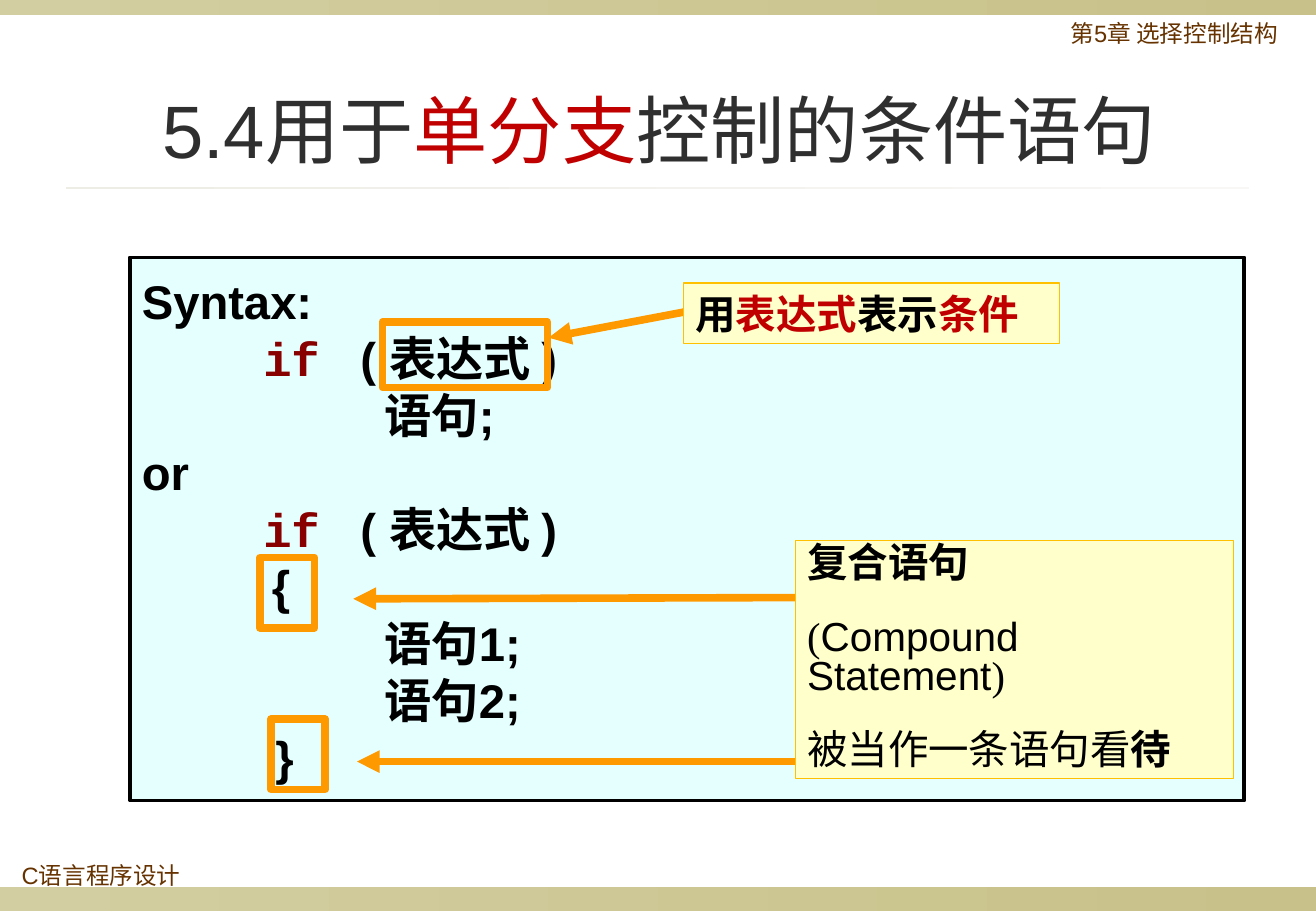
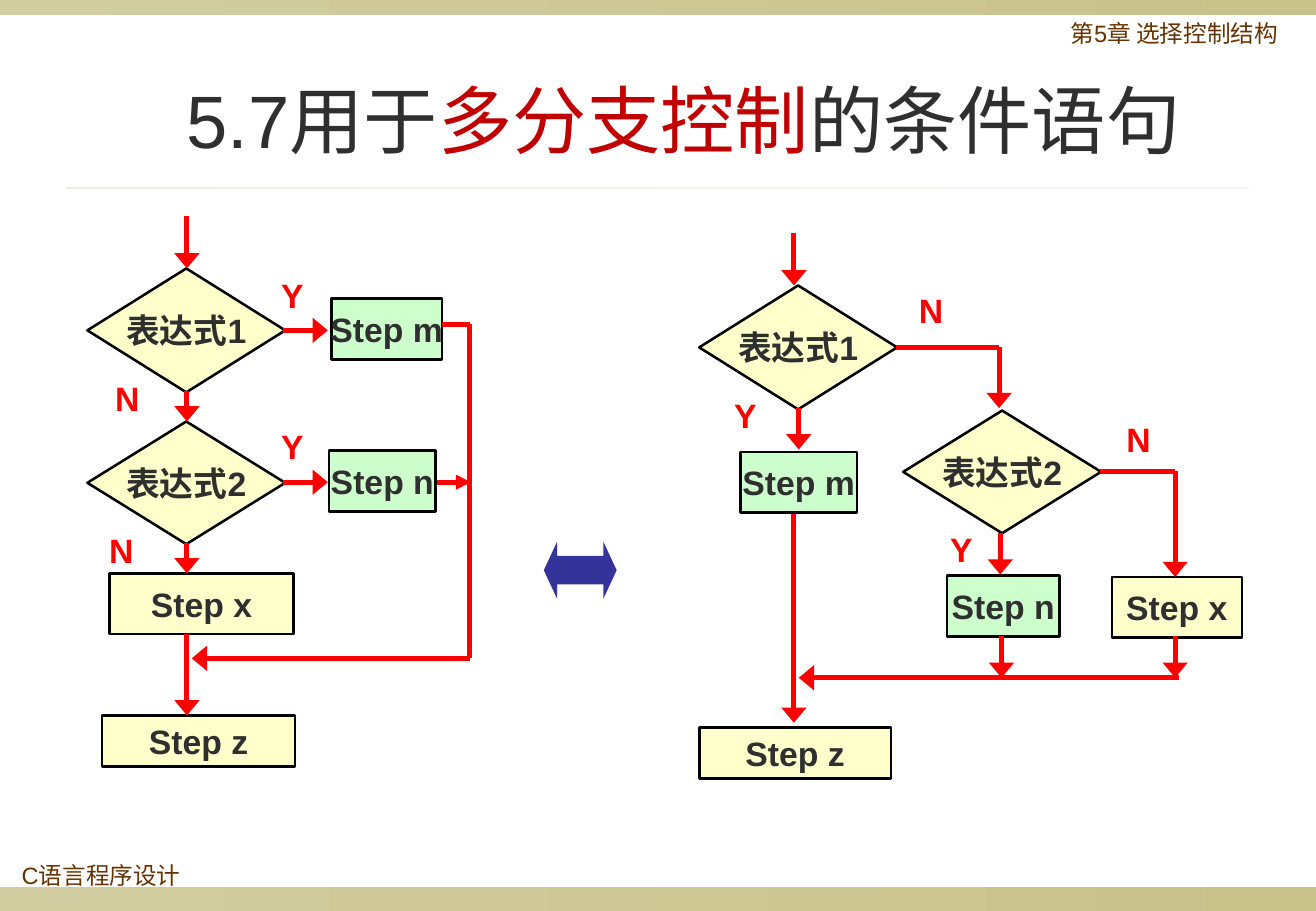
import itertools

import pptx
import pptx.dml.color
import pptx.enum.shapes
import pptx.enum.text
import pptx.oxml.ns
import pptx.util
from lxml import etree

Inches = pptx.util.Inches
Pt = pptx.util.Pt
RGBColor = pptx.dml.color.RGBColor
SHAPE = pptx.enum.shapes.MSO_SHAPE
ALIGN = pptx.enum.text.PP_ALIGN
ANCHOR = pptx.enum.text.MSO_ANCHOR
qn = pptx.oxml.ns.qn

BAND_LEFT = RGBColor(0xD3, 0xCE, 0xA1)
BAND_RIGHT = RGBColor(0xC8, 0xC1, 0x8A)
RULE_LEFT = RGBColor(0xED, 0xEC, 0xE5)
RULE_RIGHT = RGBColor(0xF8, 0xF7, 0xF5)
BROWN = RGBColor(0x66, 0x33, 0x00)
DARK = RGBColor(0x2F, 0x2F, 0x2F)
BLACK = RGBColor(0x00, 0x00, 0x00)
CRIMSON = RGBColor(0xC0, 0x00, 0x00)
KEYWORD = RGBColor(0x88, 0x00, 0x00)
RED = RGBColor(0xFF, 0x00, 0x00)
ORANGE = RGBColor(0xFF, 0x99, 0x00)
GOLD = RGBColor(0xFF, 0xC0, 0x00)
CYAN = RGBColor(0xE5, 0xFF, 0xFF)
YELLOW = RGBColor(0xFF, 0xFF, 0xCC)
GREEN = RGBColor(0xCC, 0xFF, 0xCC)
BLUE = RGBColor(0x33, 0x33, 0x99)
LATIN, CHINESE, CODE, SERIF = "Arial", "Noto Sans CJK SC", "Courier New", "Times New Roman"


def add_box(slide, at, paragraphs=(), kind=SHAPE.RECTANGLE, fill=None, line=None, line_width=1.5,
            size=20, bold=False, align=ALIGN.LEFT, anchor=ANCHOR.MIDDLE, wrap=True, spacing=None):
    """Add a shape; each paragraph is a list of runs (text, colour[, font[, bold]])."""
    shape = slide.shapes.add_shape(kind, *map(Inches, at))
    shape.shadow.inherit = False
    if fill is None:
        shape.fill.background()
    elif isinstance(fill, tuple) and not isinstance(fill, RGBColor):
        shape.fill.gradient()
        shape.fill.gradient_angle = 0
        for stop, color in zip(shape.fill.gradient_stops, fill):
            stop.color.rgb = color
    else:
        shape.fill.solid()
        shape.fill.fore_color.rgb = fill
    if line is None:
        shape.line.fill.background()
    else:
        shape.line.color.rgb = line
        shape.line.width = Pt(line_width)
    frame = shape.text_frame
    frame.word_wrap = wrap
    frame.vertical_anchor = anchor
    for index, runs in enumerate(paragraphs):
        paragraph = frame.add_paragraph() if index else frame.paragraphs[0]
        paragraph.alignment = align
        if spacing:
            paragraph.line_spacing = Pt(spacing)
        for text, color, *style in runs:
            run = paragraph.add_run()
            run.text = text
            run.font.size = Pt(size)
            run.font.color.rgb = color
            run.font.name = style[0] if style else LATIN
            run.font.bold = style[1] if len(style) > 1 else bold
            properties = run.font._element
            etree.SubElement(properties, qn("a:ea")).set("typeface", CHINESE)
    return shape


def add_arrow(slide, points, color, width, head_width="med"):
    """Join the points with straight connectors; the last one carries the arrowhead."""
    for start, end in itertools.pairwise(points):
        connector = slide.shapes.add_connector(
            pptx.enum.shapes.MSO_CONNECTOR.STRAIGHT, *map(Inches, (*start, *end)))
        connector.line.color.rgb = color
        connector.line.width = Pt(width)
        properties = connector._element.spPr
        etree.SubElement(properties, qn("a:effectLst"))
    head = etree.SubElement(properties.find(qn("a:ln")), qn("a:tailEnd"))
    head.set("type", "triangle")
    head.set("w", head_width)
    head.set("len", "med")


presentation = pptx.Presentation()
presentation.slide_width = Inches(10.84)
presentation.slide_height = Inches(7.5)

# Shared frame: bands, header, footer, rule and title
titles = [
    ((0.81, 0.6, 9.24, 0.92), "5.4用于", "单分支", "控制的条件语句"),
    ((0.47, 0.52, 10.32, 0.92), "5.7用于", "多分支控制", "的条件语句"),
]
slides = []
for title_at, before, emphasis, after in titles:
    slide = presentation.slides.add_slide(presentation.slide_layouts[6])
    for top, height in ((7.3, 0.2), (0, 0.12)):
        add_box(slide, (0, top, 10.84, height), fill=(BAND_LEFT, BAND_RIGHT))
    add_box(slide, (0.54, 1.54, 9.75, 0.02), fill=(RULE_LEFT, RULE_RIGHT))
    for at, text in (((8.72, 0.13, 2.05, 0.39), "第5章 选择控制结构"),
                     ((0.08, 7.06, 2.35, 0.39), "C语言程序设计")):
        add_box(slide, at, [[(text, BROWN)]], size=14, anchor=ANCHOR.TOP, spacing=15)
    add_box(slide, title_at, [[(before, DARK), (emphasis, CRIMSON), (after, DARK)]],
            size=44, align=ALIGN.CENTER)
    slides.append(slide)
syntax_slide, flow_slide = slides

# Syntax panel: every line has its own tab stops, in inches
if_line = ((1.0, 1.8), [("\tif", KEYWORD, CODE), ("\t( 表达式 )", BLACK)])
code_lines = [
    ((), [("Syntax:", BLACK)]),
    if_line,
    ((2.0,), [("\t语句;", BLACK)]),
    ((), [("or", BLACK)]),
    if_line,
    ((1.07,), [("\t{", BLACK)]),
    ((2.0,), [("\t语句1;", BLACK)]),
    ((2.0,), [("\t语句2;", BLACK)]),
    ((1.1,), [("\t}", BLACK)]),
]
panel = add_box(syntax_slide, (1.07, 2.12, 9.18, 4.47), [runs for stops, runs in code_lines],
                fill=CYAN, line=BLACK, line_width=2.25, size=28, bold=True, spacing=33.8)
for paragraph, (stops, runs) in zip(panel.text_frame.paragraphs, code_lines):
    if stops:
        tab_list = etree.SubElement(paragraph._p.get_or_add_pPr(), qn("a:tabLst"))
        for stop in stops:
            tab = etree.SubElement(tab_list, qn("a:tab"))
            tab.set("pos", str(Inches(stop)))
            tab.set("algn", "l")

# Orange frames, arrows and the two callouts
for at in ((2.14, 4.59, 0.45, 0.58), (2.23, 5.92, 0.45, 0.58), (3.15, 2.65, 1.36, 0.54)):
    add_box(syntax_slide, at, line=ORANGE, line_width=4.5)
for points in (((6.55, 4.92), (2.91, 4.93)), ((6.55, 6.27), (2.94, 6.27)),
               ((5.63, 2.57), (4.52, 2.78))):
    add_arrow(syntax_slide, points, ORANGE, 4.5)
compound_note = add_box(
    syntax_slide, (6.55, 4.45, 3.61, 1.96),
    [[("复合语句", BLACK, SERIF, True)],
     [("(", BLACK, SERIF), ("Compound Statement", BLACK), (")", BLACK, SERIF)],
     [("被当作一条语句看", BLACK, SERIF), ("待", BLACK, SERIF, True)]],
    fill=YELLOW, line=GOLD, line_width=0.75, size=24, anchor=ANCHOR.TOP, spacing=23)
for paragraph in compound_note.text_frame.paragraphs[1:]:
    paragraph.space_before = Pt(21)
add_box(syntax_slide, (5.63, 2.33, 3.1, 0.5),
        [[("用", BLACK), ("表达式", CRIMSON), ("表示", BLACK), ("条件", CRIMSON)]],
        fill=YELLOW, line=GOLD, line_width=0.75, size=24, bold=True)

# Flowchart nodes of both charts
decisions = [
    ("表达式1", (0.72, 2.21, 1.63, 1.02)), ("表达式2", (0.72, 3.47, 1.63, 1.01)),
    ("表达式1", (5.76, 2.35, 1.63, 1.02)), ("表达式2", (7.44, 3.38, 1.63, 1.01)),
]
steps = [
    ("Step m", (2.73, 2.46, 0.91, 0.5)), ("Step n", (2.71, 3.71, 0.88, 0.5)),
    ("Step x", (0.9, 4.72, 1.52, 0.5)), ("Step z", (0.84, 5.89, 1.59, 0.42)),
    ("Step m", (6.1, 3.72, 0.96, 0.5)), ("Step n", (7.8, 4.74, 0.93, 0.5)),
    ("Step x", (9.16, 4.75, 1.07, 0.5)), ("Step z", (5.76, 5.99, 1.58, 0.42)),
]
for kind, nodes in ((SHAPE.DIAMOND, decisions), (SHAPE.RECTANGLE, steps)):
    for text, at in nodes:
        fill = GREEN if text in ("Step m", "Step n") else YELLOW
        add_box(flow_slide, at, [[(text, DARK)]], kind=kind, fill=fill, line=BLACK,
                bold=True, align=ALIGN.CENTER, wrap=False)

# Flow arrows, each a path of corner points
flow_paths = [
    # Left chart
    ((1.54, 1.78), (1.54, 2.21)),
    ((1.54, 3.22), (1.54, 3.47)),
    ((1.54, 4.47), (1.54, 4.72)),
    ((1.54, 5.22), (1.54, 5.89)),
    ((2.33, 2.72), (2.7, 2.72)),
    ((2.33, 3.97), (2.7, 3.97)),
    ((3.64, 2.67), (3.87, 2.67), (3.87, 5.42), (1.58, 5.42)),
    # Right chart
    ((6.54, 1.92), (6.54, 2.35)),
    ((6.58, 3.36), (6.58, 3.7)),
    ((6.54, 4.23), (6.54, 5.95)),
    ((7.38, 2.86), (8.23, 2.86), (8.23, 3.36)),
    ((8.24, 4.39), (8.24, 4.73)),
    ((9.06, 3.88), (9.68, 3.88), (9.68, 4.75)),
    ((8.25, 5.24), (8.25, 5.58)),
    ((9.68, 5.24), (9.68, 5.58)),
    ((9.71, 5.58), (6.58, 5.58)),
]
for points in flow_paths:
    add_arrow(flow_slide, points, RED, 3, head_width="lg")
add_arrow(flow_slide, ((3.6, 3.97), (3.88, 3.97)), RED, 3)

# Branch labels
branch_labels = {
    "Y": [(2.21, 2.21), (2.21, 3.45), (5.94, 3.2), (7.72, 4.3)],
    "N": [(0.85, 3.06), (0.8, 4.31), (7.47, 2.33), (9.18, 3.39)],
}
for text, places in branch_labels.items():
    for left, top in places:
        add_box(flow_slide, (left, top, 0.4, 0.44), [[(text, RED)]], bold=True,
                align=ALIGN.CENTER, wrap=False)

# Equivalence arrow between the charts
equivalence = add_box(flow_slide, (4.48, 4.46, 0.6, 0.47), kind=SHAPE.LEFT_RIGHT_ARROW, fill=BLUE)
equivalence.adjustments[0] = 0.5
equivalence.adjustments[1] = 0.233

presentation.save("out.pptx")
